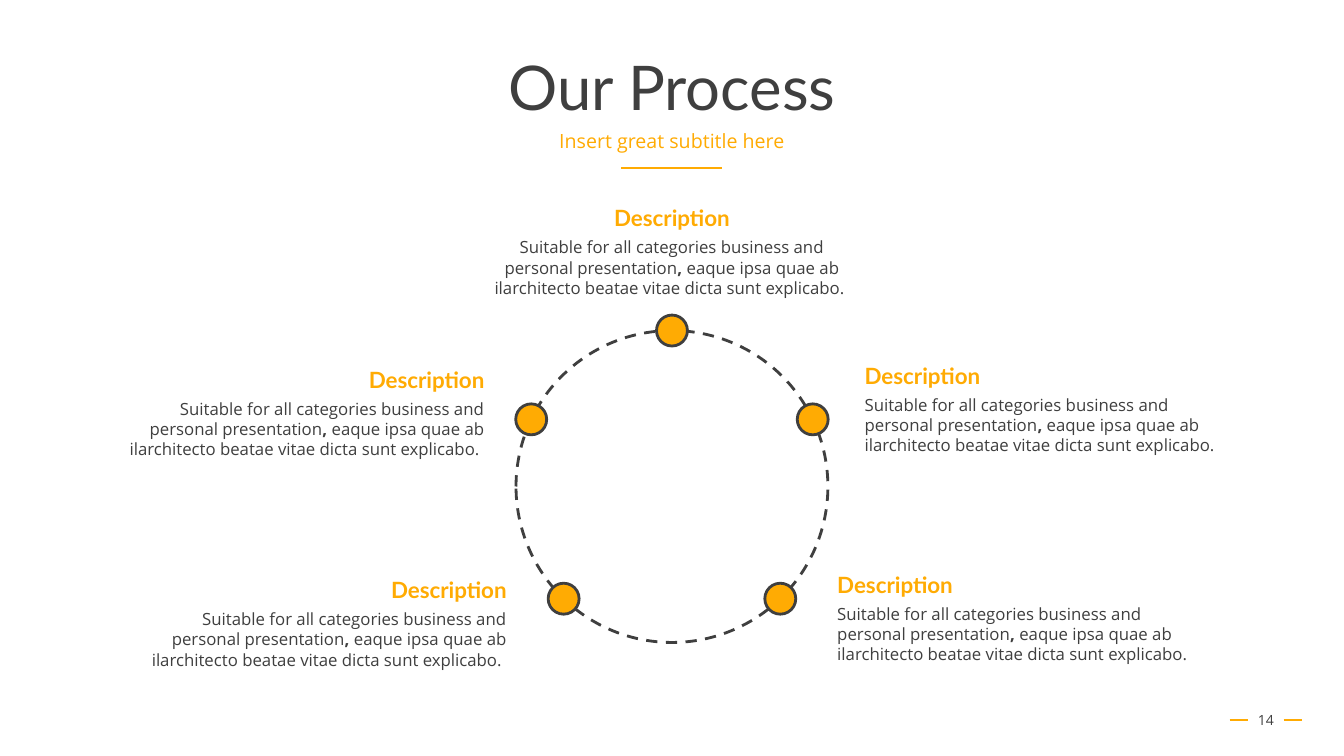
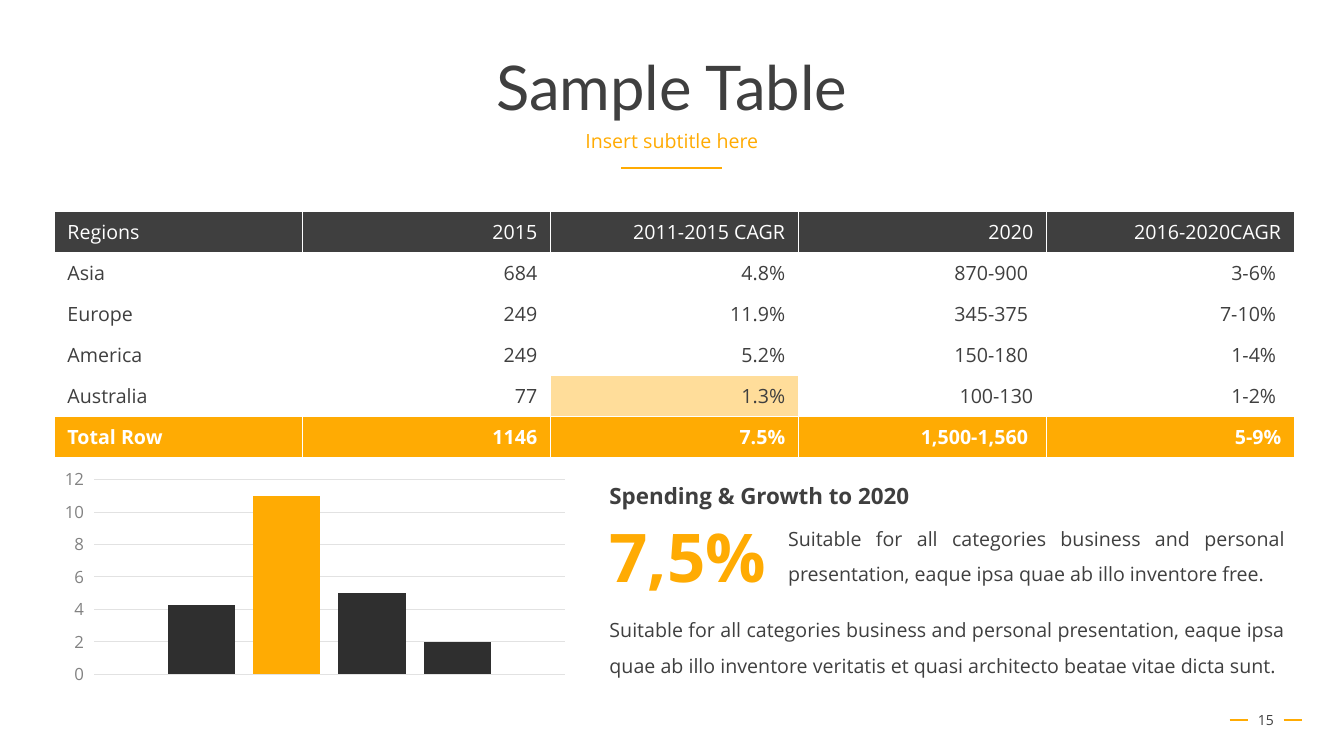
import math

import pptx
import pptx.chart.data
import pptx.dml.color
import pptx.enum.chart
import pptx.enum.dml
import pptx.enum.shapes
import pptx.enum.text
import pptx.oxml
import pptx.oxml.ns
import pptx.util
from lxml import etree

Cm = pptx.util.Cm
Pt = pptx.util.Pt
qn = pptx.oxml.ns.qn
ALIGN = pptx.enum.text.PP_ALIGN
ANCHOR = pptx.enum.text.MSO_ANCHOR
AUTO_SIZE = pptx.enum.text.MSO_AUTO_SIZE

WIDTH, HEIGHT = 33.87, 19.05
DARK, AMBER, WHITE = "3F3F3F", "FFAB03", "FFFFFF"
BAR, AXIS, GRID = "2F2F2F", "828282", "E2E2E2"
HEAD_FONT, BODY_FONT = "Lato", "Open Sans"


def rgb(value):
    return pptx.dml.color.RGBColor.from_string(value)


def write(tf, text, size=14, color=DARK, font=BODY_FONT, bold=False,
          align=ALIGN.LEFT, spacing=1.0):
    """Fill the first paragraph; a tuple of texts alternates plain and bold."""
    p = tf.paragraphs[0]
    pPr = p._p.get_or_add_pPr()
    pPr.set("marL", "0")
    pPr.set("indent", "0")
    etree.SubElement(pPr, qn("a:buNone"))
    p.alignment = align
    p.line_spacing = spacing
    p.space_before = Pt(0)
    parts = (text,) if isinstance(text, str) else text
    for i, part in enumerate(parts):
        r = p.add_run()
        r.text = part
        r.font.size = Pt(size)
        r.font.name = font
        r.font.bold = bold or i % 2 == 1
        r.font.color.rgb = rgb(color)


class Deck:
    def __init__(self):
        self.prs = pptx.Presentation()
        self.prs.slide_width = Cm(WIDTH)
        self.prs.slide_height = Cm(HEIGHT)
        self.s = None

    def new_slide(self, title, subtitle, number):
        """Start a slide with its heading, rule and page number."""
        self.s = self.prs.slides.add_slide(self.prs.slide_layouts[1])
        self.placeholder(0, 1.02, 2.5, ANCHOR.MIDDLE, title,
                         size=44, font=HEAD_FONT)
        self.placeholder(1, 3.2, 1.02, ANCHOR.TOP, subtitle, color=AMBER)
        self.rule(15.66, 18.2, 4.24)
        self.rule(30.99, 31.44, 18.14)
        self.rule(32.35, 32.8, 18.14)
        self.text(31.15, 17.63, 1.5, 1.02, str(number), size=10,
                  align=ALIGN.CENTER, anchor=ANCHOR.MIDDLE, grow=False)

    def placeholder(self, idx, y, h, anchor, text, **style):
        sp = self.s.placeholders[idx]
        w = 29.2
        sp.left, sp.top = Cm((WIDTH - w) / 2), Cm(y)
        sp.width, sp.height = Cm(w), Cm(h)
        tf = sp.text_frame
        tf.auto_size = AUTO_SIZE.NONE
        tf.vertical_anchor = anchor
        write(tf, text, align=ALIGN.CENTER, spacing=0.9, **style)

    def rule(self, x1, x2, y):
        sp = self.s.shapes.add_connector(
            pptx.enum.shapes.MSO_CONNECTOR.STRAIGHT,
            Cm(x1), Cm(y), Cm(x2), Cm(y))
        sp.line.color.rgb = rgb(AMBER)
        sp.line.width = Pt(1.75)
        etree.SubElement(sp._element.spPr, qn("a:effectLst"))

    def text(self, x, y, w, h, text, anchor=ANCHOR.TOP, wrap=True, grow=True,
             **style):
        sp = self.s.shapes.add_textbox(Cm(x), Cm(y), Cm(w), Cm(h))
        tf = sp.text_frame
        tf.word_wrap = wrap
        tf.auto_size = AUTO_SIZE.SHAPE_TO_FIT_TEXT if grow else AUTO_SIZE.NONE
        tf.vertical_anchor = anchor
        write(tf, text, **style)

    def circle(self, cx, cy, radius, fill=None, dashed=False):
        sp = self.s.shapes.add_shape(
            pptx.enum.shapes.MSO_SHAPE.OVAL, Cm(cx - radius), Cm(cy - radius),
            Cm(2 * radius), Cm(2 * radius))
        sp.shadow.inherit = False
        if fill:
            sp.fill.solid()
            sp.fill.fore_color.rgb = rgb(fill)
        else:
            sp.fill.background()
        sp.line.color.rgb = rgb(DARK)
        sp.line.width = Pt(2)
        if dashed:
            sp.line.dash_style = pptx.enum.dml.MSO_LINE.DASH

    def description(self, x, y, align, body):
        """Heading over a paragraph; x is the edge or centre they align to."""
        shift = {ALIGN.LEFT: 0, ALIGN.CENTER: 0.5, ALIGN.RIGHT: 1}[align]
        head_w, body_w = 5.8, 9.6
        self.text(x - shift * body_w, y + 0.82, body_w, 1.8, body,
                  size=12, align=align)
        self.text(x - shift * head_w, y, head_w, 0.94, "Description", size=16,
                  color=AMBER, font=HEAD_FONT, bold=True, align=align)

    def cell(self, cell, text, fill=None, alpha=None, **style):
        cell.margin_left = cell.margin_right = Cm(0.33)
        cell.margin_top = cell.margin_bottom = Cm(0.18)
        write(cell.text_frame, text, **style)
        if fill:
            cell.fill.solid()
            cell.fill.fore_color.rgb = rgb(fill)
        else:
            cell.fill.background()
        tcPr = cell._tc.get_or_add_tcPr()
        if alpha:
            clr = tcPr.find(".//" + qn("a:srgbClr"))
            etree.SubElement(clr, qn("a:alpha")).set("val", str(alpha * 1000))
        # White borders go ahead of the fill
        for i, side in enumerate(("lnL", "lnR", "lnT", "lnB")):
            ln = etree.Element(qn("a:" + side), w=str(Pt(1)))
            solid = etree.SubElement(ln, qn("a:solidFill"))
            etree.SubElement(solid, qn("a:srgbClr")).set("val", WHITE)
            tcPr.insert(i, ln)

    def table(self, x, y, col_w, row_h, rows, highlight):
        n_rows, n_cols = len(rows), len(rows[0])
        table = self.s.shapes.add_table(
            n_rows, n_cols, Cm(x), Cm(y),
            Cm(col_w * n_cols), Cm(row_h * n_rows)).table
        table.first_row = table.horz_banding = False
        for col in table.columns:
            col.width = Cm(col_w)
        for i, row in enumerate(rows):
            table.rows[i].height = Cm(row_h)
            style = {}
            if i == 0:
                style = dict(fill=DARK, color=WHITE)
            elif i == n_rows - 1:
                style = dict(fill=AMBER, color=WHITE, bold=True)
            for j, value in enumerate(row):
                extra = {}
                if (i, j) == highlight:
                    extra = dict(fill=AMBER, alpha=40)
                self.cell(table.cell(i, j), value,
                          align=ALIGN.RIGHT if j else ALIGN.LEFT,
                          **style, **extra)

    def column_chart(self, x, y, w, h, category, series):
        data = pptx.chart.data.CategoryChartData()
        data.categories = [category]
        for name, value, _ in series:
            data.add_series(name, [value])
        chart = self.s.shapes.add_chart(
            pptx.enum.chart.XL_CHART_TYPE.COLUMN_CLUSTERED,
            Cm(x), Cm(y), Cm(w), Cm(h), data).chart
        chart.has_legend = chart.has_title = False
        chart.font.size = Pt(10)
        chart.font.name = BODY_FONT
        chart.font.color.rgb = rgb(DARK)
        plot = chart.plots[0]
        plot.gap_width, plot.overlap = 219, -27
        plot.vary_by_categories = False
        for ser, (_, _, color) in zip(plot.series, series):
            ser.format.fill.solid()
            ser.format.fill.fore_color.rgb = rgb(color)
        chart.category_axis.visible = False
        axis = chart.value_axis
        axis.minimum_scale, axis.maximum_scale, axis.major_unit = 0, 12, 2
        axis.format.line.fill.background()
        axis.major_gridlines.format.line.color.rgb = rgb(GRID)
        axis.major_gridlines.format.line.width = Pt(0.75)
        axis.tick_labels.font.size = Pt(12)
        axis.tick_labels.font.name = BODY_FONT
        axis.tick_labels.font.color.rgb = rgb(AXIS)


def process_slide(deck):
    deck.new_slide("Our Process", "Insert great subtitle here", 14)

    # Dashed ring with a dot at each step
    cx, cy, radius = WIDTH / 2, 12.26, 3.93
    deck.circle(cx, cy, radius, dashed=True)
    for degrees in (-90, 205.5, -25.5, 134, 46):
        angle = math.radians(degrees)
        deck.circle(cx + radius * math.cos(angle),
                    cy + radius * math.sin(angle), 0.39, fill=AMBER)

    # Descriptions around the ring
    start = "Suitable for all categories business and personal presentation"
    end = " eaque ipsa quae ab ilarchitecto beatae vitae dicta sunt explicabo."
    for x, y, align in ((cx, 5.03, ALIGN.CENTER),
                        (21.54, 8.99, ALIGN.LEFT),
                        (20.85, 14.27, ALIGN.LEFT),
                        (12.46, 9.1, ALIGN.RIGHT),
                        (13.02, 14.4, ALIGN.RIGHT)):
        tail = "" if align == ALIGN.LEFT else " "
        deck.description(x, y, align, (start, ",", end + tail))


def table_slide(deck):
    deck.new_slide("Sample Table", "Insert subtitle here", 15)
    left = 1.37

    # Regions table
    rows = [
        ("Regions", "2015", "2011-2015 CAGR", "2020", "2016-2020CAGR"),
        ("Asia", "684", "4.8%", "870-900 ", "3-6% "),
        ("Europe", "249", "11.9%", "345-375 ", "7-10% "),
        ("America", "249", "5.2%", "150-180 ", "1-4% "),
        ("Australia", "77", "1.3%", "100-130", "1-2% "),
        ("Total Row", "1146", "7.5%", "1,500-1,560 ", "5-9%"),
    ]
    deck.table(left, 5.33, 6.25, 0.93, rows, highlight=(4, 2))

    # Column chart
    series = [("Series 1", 4.3, BAR), ("Series 2", 11, AMBER),
              ("Series 3", 5, BAR), ("Series 4", 2, BAR)]
    deck.column_chart(left, 11.68, 13.13, 5.72, "1", series)

    # Growth summary
    x = 15.11
    justified = dict(align=ALIGN.JUSTIFY, spacing=1.5)
    deck.text(x, 11.68, 14.53, 1.17, "Spending & Growth to 2020", size=16,
              bold=True, **justified)
    deck.text(x, 12.85, 4.5, 2.31, "7,5%", size=48, color=AMBER, bold=True,
              wrap=False)
    deck.text(x + 4.5, 12.85, 13.03, 1.96,
              "Suitable for all categories business and personal "
              "presentation, eaque ipsa quae ab illo inventore free.",
              **justified)
    deck.text(x, 15.16, 17.53, 2.06,
              "Suitable for all categories business and personal "
              "presentation, eaque ipsa quae ab illo inventore veritatis et "
              "quasi architecto beatae vitae dicta sunt.", **justified)


def main():
    deck = Deck()
    process_slide(deck)
    table_slide(deck)
    deck.prs.save("out.pptx")


if __name__ == "__main__":
    main()
